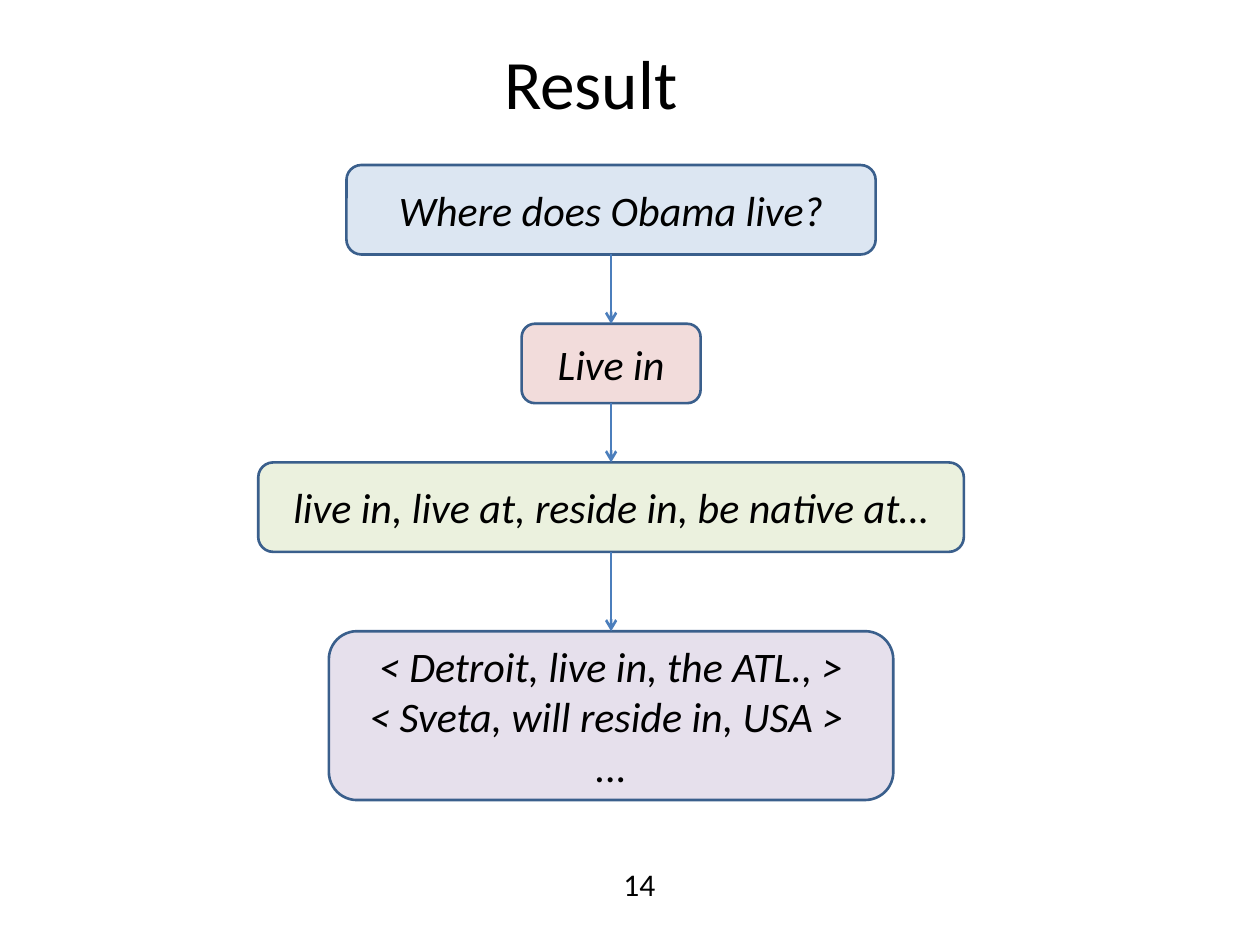
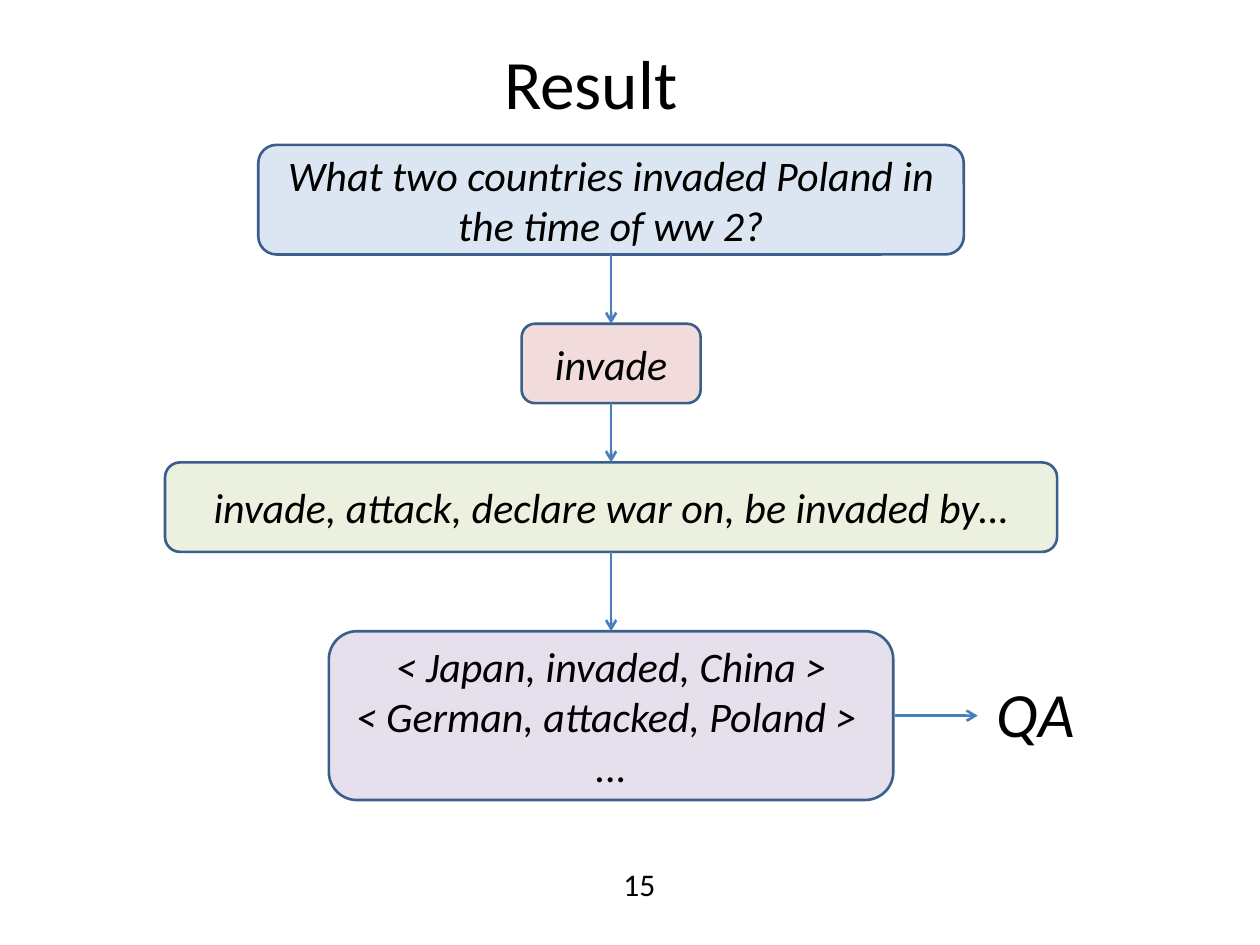
"""Build two slides that trace a question down to its extracted triples."""
from itertools import pairwise

from lxml.etree import SubElement
from pptx import Presentation
from pptx.dml.color import RGBColor
from pptx.enum.shapes import MSO_CONNECTOR, MSO_SHAPE
from pptx.enum.text import MSO_ANCHOR, PP_ALIGN
from pptx.oxml.ns import qn
from pptx.util import Pt

PX = 9144
CENTER = 485
FONT = "Calibri"
BLACK = RGBColor(0x00, 0x00, 0x00)
BORDER = RGBColor(0x3A, 0x5F, 0x8C)
ARROW = RGBColor(0x4B, 0x7E, 0xBC)
BLUE = RGBColor(0xDC, 0xE6, 0xF2)
PINK = RGBColor(0xF2, 0xDC, 0xDB)
GREEN = RGBColor(0xEB, 0xF1, 0xDE)
PURPLE = RGBColor(0xE6, 0xE0, 0xEC)


def px(*lengths):
    """Turn px lengths into EMU."""
    return [n * PX for n in lengths]


def write(tf, text, size=24, italic=False, align=PP_ALIGN.CENTER,
          anchor=MSO_ANCHOR.MIDDLE, wrap=True):
    """Fill a text frame, one paragraph per line of text."""
    tf.word_wrap = wrap
    tf.vertical_anchor = anchor
    tf.text = text
    for p in tf.paragraphs:
        p.alignment = align
        for r in p.runs:
            r.font.name = FONT
            r.font.size = Pt(size)
            r.font.italic = italic
            r.font.color.rgb = BLACK


def add_label(s, text, x, y, w, h, size, italic=False):
    """Add a one-line text box that does not wrap."""
    tf = s.shapes.add_textbox(*px(x, y, w, h)).text_frame
    write(tf, text, size=size, italic=italic, align=PP_ALIGN.LEFT,
          anchor=MSO_ANCHOR.TOP, wrap=False)


def add_title(s, text):
    """Add the title, set slightly left of the slide's centre."""
    tf = s.shapes.add_textbox(*px(50, 30, 900, 69)).text_frame
    tf.margin_right = 72 * PX
    write(tf, text, size=39.6)


def add_step(s, text, y, w, h, color):
    """Add a rounded box centred on the flow's axis."""
    sp = s.shapes.add_shape(MSO_SHAPE.ROUNDED_RECTANGLE,
                            *px(CENTER - w // 2, y, w, h))
    sp.shadow.inherit = False
    sp.fill.solid()
    sp.fill.fore_color.rgb = color
    sp.line.color.rgb = BORDER
    sp.line.width = Pt(1.5)
    write(sp.text_frame, text, italic=True)


def add_arrow(s, x1, y1, x2, y2):
    """Add a straight line with an open arrowhead at its end."""
    cxn = s.shapes.add_connector(MSO_CONNECTOR.STRAIGHT, *px(x1, y1, x2, y2))
    cxn.line.color.rgb = ARROW
    cxn.line.width = Pt(1.5)
    SubElement(cxn.line._get_or_add_ln(), qn("a:tailEnd"), type="arrow")
    SubElement(cxn._element.spPr, qn("a:effectLst"))


def add_flow_slide(prs, number, steps):
    """Add a slide of steps, each (text, top, width, height, color)."""
    s = prs.slides.add_slide(prs.slide_layouts[6])
    add_title(s, "Result")
    add_label(s, str(number), 485, 682, 46, 40, size=18)
    for step in steps:
        add_step(s, *step)
    for (_, y, _, h, _), (_, below, *_) in pairwise(steps):
        add_arrow(s, CENTER, y + h, CENTER, below)
    return s


def main():
    """Build and save the presentation."""
    prs = Presentation()
    prs.slide_width, prs.slide_height = px(1000, 750)
    add_flow_slide(prs, 14, [
        ("Where does Obama live?", 131, 420, 71, BLUE),
        ("Live in", 257, 142, 63, PINK),
        ("live in, live at, reside in, be native at…", 367, 560, 71, GREEN),
        ("< Detroit, live in, the ATL., >\n< Sveta, will reside in, USA > \n...",
         501, 448, 134, PURPLE),
    ])
    s = add_flow_slide(prs, 15, [
        ("What two countries invaded Poland in the time of ww 2?",
         115, 560, 87, BLUE),
        ("invade", 257, 142, 63, PINK),
        ("invade, attack, declare war on, be invaded by…",
         367, 708, 71, GREEN),
        ("< Japan, invaded, China >\n< German, attacked, Poland > \n...",
         501, 448, 134, PURPLE),
    ])
    add_arrow(s, 710, 568, 776, 568)
    add_label(s, "QA", 781, 530, 83, 71, size=36, italic=True)
    prs.save("out.pptx")


if __name__ == "__main__":
    main()
